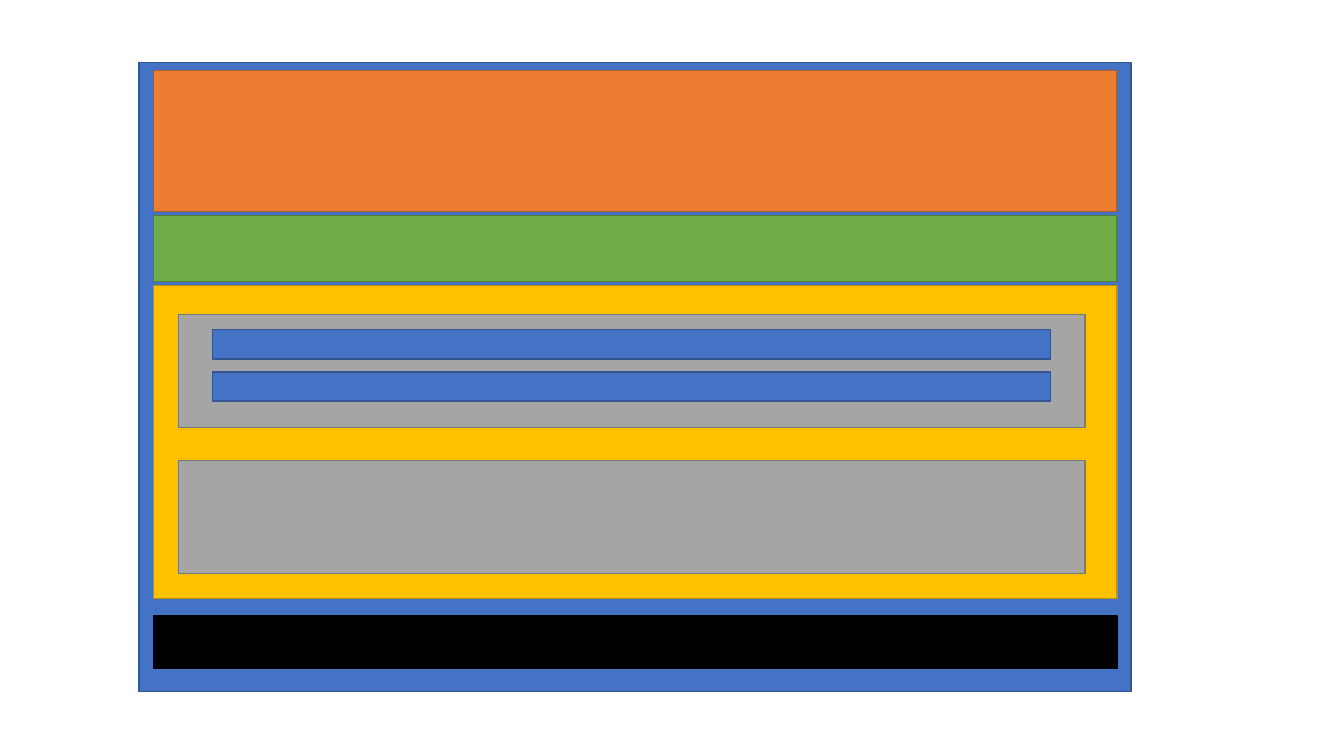
from dataclasses import dataclass

from pptx import Presentation
from pptx.dml.color import RGBColor
from pptx.enum.shapes import MSO_SHAPE
from pptx.slide import Slide
from pptx.util import Inches, Pt

FILLS = {
    "blue": "4472C4",
    "orange": "ED7D31",
    "green": "70AD47",
    "black": "000000",
    "gold": "FFC000",
    "gray": "A5A5A5",
}
OUTLINES = {
    "blue": "325491",
    "orange": "AF5C24",
    "green": "538035",
    "black": "000000",
    "gold": "BD8E00",
    "gray": "7A7A7A",
}


@dataclass(frozen=True)
class Column:
    """Horizontal extent shared by panels of one nesting level."""
    left: float
    width: float


@dataclass(frozen=True)
class Panel:
    column: Column
    top: float
    height: float
    color: str


FRAME = Column(1.38, 9.84)
SECTION = Column(1.52, 9.56)
CARD = Column(1.77, 8.99)
ROW = Column(2.11, 8.31)

CARD_TOP, CARD_STEP = 3.12, 1.45
ROW_TOP, ROW_STEP = 3.27, 0.42

# Panels from back to front
PANELS = [
    Panel(FRAME, 0.62, 6.24, "blue"),
    Panel(SECTION, 0.7, 1.4, "orange"),
    Panel(SECTION, 2.14, 0.65, "green"),
    Panel(SECTION, 6.11, 0.52, "black"),
    Panel(SECTION, 2.83, 3.11, "gold"),
    *(Panel(CARD, CARD_TOP + i * CARD_STEP, 1.12, "gray") for i in range(2)),
    *(Panel(ROW, ROW_TOP + i * ROW_STEP, 0.29, "blue") for i in range(2)),
]


def draw_panel(page: Slide, panel: Panel) -> None:
    box = page.shapes.add_shape(
        MSO_SHAPE.RECTANGLE,
        Inches(panel.column.left),
        Inches(panel.top),
        Inches(panel.column.width),
        Inches(panel.height),
    )
    box.shadow.inherit = False
    box.fill.solid()
    box.fill.fore_color.rgb = RGBColor.from_string(FILLS[panel.color])
    box.line.color.rgb = RGBColor.from_string(OUTLINES[panel.color])
    box.line.width = Pt(1)


def main() -> None:
    deck = Presentation()
    deck.slide_width = Inches(13.33)
    deck.slide_height = Inches(7.5)

    # Blank layout: the wireframe has no title
    page = deck.slides.add_slide(deck.slide_layouts.get_by_name("Blank"))
    for panel in PANELS:
        draw_panel(page, panel)

    deck.save("out.pptx")


if __name__ == "__main__":
    main()
